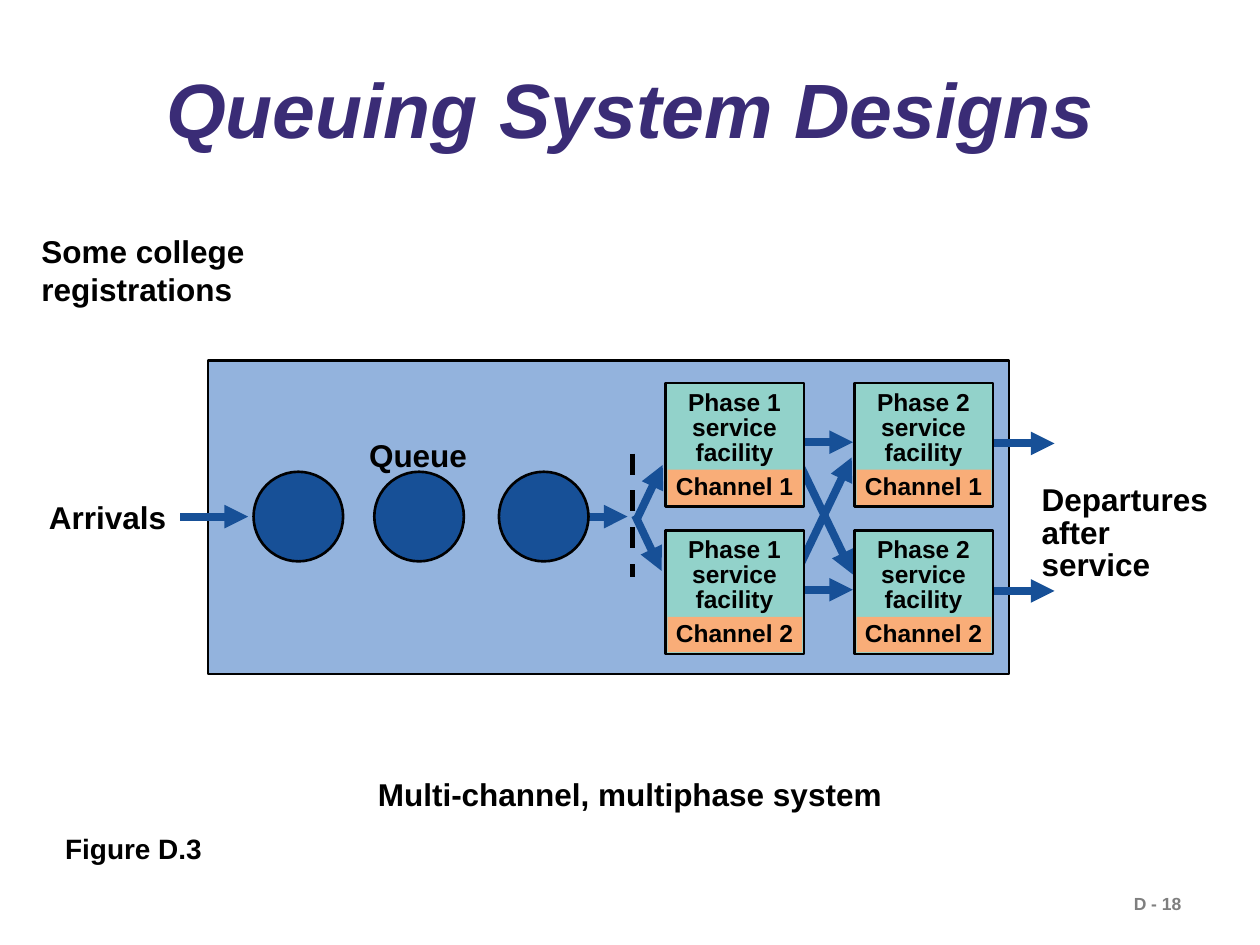
from dataclasses import dataclass
from typing import NamedTuple

from lxml.etree import SubElement
from pptx import Presentation
from pptx.dml.color import RGBColor
from pptx.enum.dml import MSO_LINE
from pptx.enum.shapes import MSO_CONNECTOR, MSO_SHAPE
from pptx.enum.text import MSO_ANCHOR, PP_ALIGN
from pptx.oxml.ns import qn
from pptx.util import Pt


@dataclass(frozen=True)
class Theme:
    font: str = "Arial"
    title: str = "3A2C76"
    ink: str = "000000"
    muted: str = "7F7F7F"
    system: str = "93B3DD"
    flow: str = "175097"
    facility: str = "92D2CA"
    channel: str = "F9AD78"
    title_size: float = 44
    label_size: float = 18
    figure_size: float = 16
    facility_size: float = 14
    page_size: float = 10
    outline: float = 1.5
    dash_width: float = 3
    arrow_width: float = 4.5


class Box(NamedTuple):
    x: float
    y: float
    w: float
    h: float


class Label(NamedTuple):
    box: Box
    lines: tuple[str, ...]
    size: float = Theme.label_size
    color: str = Theme.ink
    align: PP_ALIGN = PP_ALIGN.LEFT
    spacing: float = 1.0
    wrap: bool = False
    space_after: float = 0


class Line(NamedTuple):
    x1: float
    y1: float
    x2: float
    y2: float


THEME = Theme()
QUEUE_Y = 295.2
CIRCLE_SIZE = 51.2
CIRCLE_LEFTS = (144.9, 213.9, 285.1)
PHASE_LEFTS = {1: 380.2, 2: 488.2}
CHANNEL_TOPS = {1: 218.9, 2: 303.1}
SYSTEM = Box(118.8, 205.9, 457.9, 179.3)

LABELS = (
    Label(Box(640.8, 506.9, 78.5, 19.4), ("D - 18",), THEME.page_size, THEME.muted),
    Label(Box(30.2, 471.6, 92.2, 26.6), ("Figure D.3",), THEME.figure_size),
    Label(Box(208.8, 439.2, 302.4, 28.8), ("Multi-channel, multiphase system",),
          align=PP_ALIGN.CENTER),
    Label(Box(20.9, 280.8, 81.4, 28.8), ("Arrivals",)),
    Label(Box(203.8, 245.5, 70.6, 28.8), ("Queue",)),
    Label(Box(16.6, 128.9, 244.1, 28.8), ("Some college registrations",)),
    Label(Box(588.2, 274.3, 120.2, 43.9), ("Departures", "after service"),
          spacing=0.85),
)
QUEUE_ARROWS = (
    Line(103, QUEUE_Y, 141.8, QUEUE_Y),
    Line(319, QUEUE_Y, 358.6, QUEUE_Y),
)
DEPARTURE_ARROWS = tuple(Line(563.8, y, 602.6, y) for y in (253.4, 337.7))
PHASE_ARROWS = (
    Line(448.6, 252.7, 487.4, 252.7),
    Line(448.6, 337, 487.4, 337),
    Line(455, 327.6, 486.7, 261.4),
    Line(456.5, 264.2, 487.4, 328.3),
)
ENTRY_ARROWS = (
    Line(364.3, 295.9, 378.7, 265.7),
    Line(362.9, 294.5, 378, 326.2),
)
DIVIDER = Line(361.4, 259.2, 361.4, 329.8)


def rgb(color: str) -> RGBColor:
    return RGBColor.from_string(color)


def style_paragraph(p, size: float, color: str, align: PP_ALIGN) -> None:
    p.alignment = align
    p.font.name, p.font.size, p.font.bold = THEME.font, Pt(size), True
    p.font.color.rgb = rgb(color)


def add_label(slide, label: Label) -> None:
    tf = slide.shapes.add_textbox(*map(Pt, label.box)).text_frame
    tf.word_wrap = label.wrap
    for i, text in enumerate(label.lines):
        p = tf.add_paragraph() if i else tf.paragraphs[0]
        p.text = text
        p.line_spacing = label.spacing
        if i < len(label.lines) - 1:
            p.space_after = Pt(label.space_after)
        style_paragraph(p, label.size, label.color, label.align)


def add_block(slide, kind: MSO_SHAPE, box: Box, fill: str,
              outlined: bool = True) -> None:
    sp = slide.shapes.add_shape(kind, *map(Pt, box))
    sp.shadow.inherit = False
    sp.fill.solid()
    sp.fill.fore_color.rgb = rgb(fill)
    if outlined:
        sp.line.color.rgb = rgb(THEME.ink)
        sp.line.width = Pt(THEME.outline)
    else:
        sp.line.fill.background()


def add_line(slide, line: Line, color: str, width: float):
    cxn = slide.shapes.add_connector(MSO_CONNECTOR.STRAIGHT, *map(Pt, line))
    cxn.line.color.rgb = rgb(color)
    cxn.line.width = Pt(width)
    SubElement(cxn._element.spPr, qn("a:effectLst"))
    return cxn


def add_arrows(slide, lines: tuple[Line, ...]) -> None:
    for line in lines:
        cxn = add_line(slide, line, THEME.flow, THEME.arrow_width)
        SubElement(cxn.line._get_or_add_ln(), qn("a:tailEnd"), type="triangle")


def add_phase(slide, phase: int) -> None:
    """Stack the facilities of one phase, one for each channel."""
    x = PHASE_LEFTS[phase]
    for channel, y in CHANNEL_TOPS.items():
        add_block(slide, MSO_SHAPE.RECTANGLE, Box(x, y, 79.2, 70.6), THEME.facility)
        add_block(slide, MSO_SHAPE.RECTANGLE, Box(x + 1.3, y + 49.4, 77, 20.2),
                  THEME.channel, outlined=False)
        add_label(slide, Label(
            Box(x - 2.2, y + 1.1, 83.5, 69.8),
            (f"Phase {phase} service facility", f"Channel {channel}"),
            THEME.facility_size, align=PP_ALIGN.CENTER, spacing=0.85,
            wrap=True, space_after=5.2))


def add_title(slide, text: str) -> None:
    title = slide.shapes.title
    title.left, title.top, title.width, title.height = map(
        Pt, Box(41.8, 27.4, 637.2, 74.9))
    tf = title.text_frame
    tf.vertical_anchor = MSO_ANCHOR.MIDDLE
    p = tf.paragraphs[0]
    p.text = text
    p.line_spacing = 0.9
    style_paragraph(p, THEME.title_size, THEME.title, PP_ALIGN.CENTER)
    p.font.italic = True


def main() -> None:
    prs = Presentation()
    prs.slide_width, prs.slide_height = Pt(720), Pt(540)
    slide = prs.slides.add_slide(prs.slide_layouts[5])
    add_title(slide, "Queuing System Designs")
    add_block(slide, MSO_SHAPE.RECTANGLE, SYSTEM, THEME.system)
    add_arrows(slide, QUEUE_ARROWS + DEPARTURE_ARROWS + PHASE_ARROWS)
    for x in CIRCLE_LEFTS:
        add_block(slide, MSO_SHAPE.OVAL,
                  Box(x, QUEUE_Y - CIRCLE_SIZE / 2, CIRCLE_SIZE, CIRCLE_SIZE),
                  THEME.flow)
    for label in LABELS:
        add_label(slide, label)
    add_phase(slide, 2)
    divider = add_line(slide, DIVIDER, THEME.ink, THEME.dash_width)
    divider.line.dash_style = MSO_LINE.DASH
    add_arrows(slide, ENTRY_ARROWS)
    add_phase(slide, 1)
    prs.save("out.pptx")


if __name__ == "__main__":
    main()
